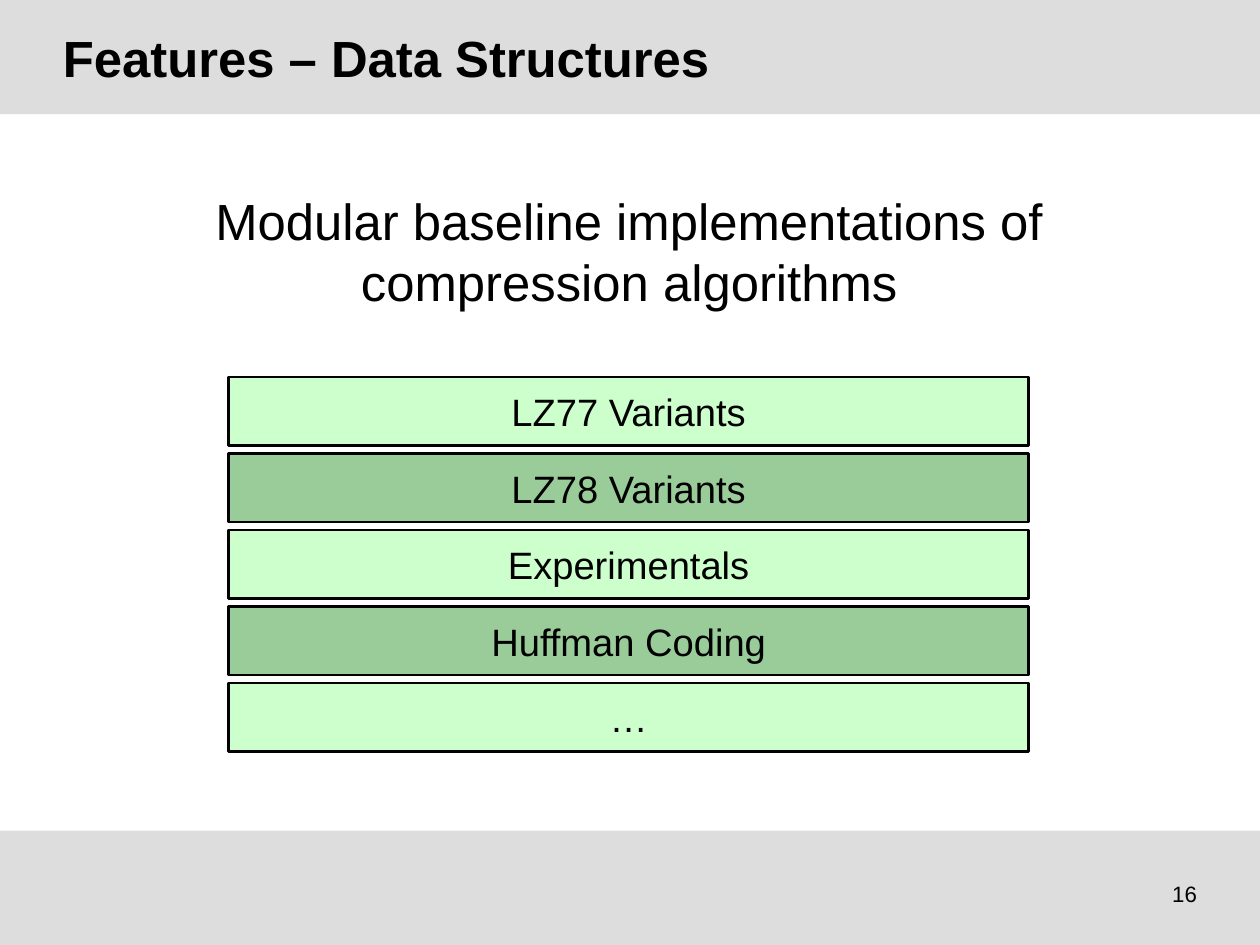
"""Builds a slide listing the compression algorithm families."""
import pptx
import pptx.util
import pptx.dml.color
import pptx.enum.shapes
import pptx.enum.text

Cm = pptx.util.Cm
Pt = pptx.util.Pt
ALIGN = pptx.enum.text.PP_ALIGN
ANCHOR = pptx.enum.text.MSO_ANCHOR

COLORS = {"band": "DDDDDD", "light": "CCFFCC", "dark": "99CC99", "ink": "000000"}
WIDTH, HEIGHT = 28, 21
BAND_HEIGHT = 2.54
MARGIN = 1.4
STACK_LEFT, STACK_TOP, STACK_WIDTH = 5.08, 8.38, 17.78
ROW_HEIGHT, ROW_STEP = 1.52, 1.7
ALGORITHMS = ["LZ77 Variants", "LZ78 Variants", "Experimentals", "Huffman Coding", "…"]


def color(name):
    return pptx.dml.color.RGBColor.from_string(COLORS[name])


def write(frame, lines, size, align, bold=False, anchor=ANCHOR.MIDDLE, inset=(0, 0), wrap=True):
    frame.word_wrap = wrap
    frame.vertical_anchor = anchor
    frame.margin_left = frame.margin_right = Cm(inset[0])
    frame.margin_top = frame.margin_bottom = Cm(inset[1])
    for index, line in enumerate(lines):
        paragraph = frame.add_paragraph() if index else frame.paragraphs[0]
        paragraph.alignment = align
        run = paragraph.add_run()
        run.text = line
        run.font.name = "Arial"
        run.font.size = Pt(size)
        run.font.bold = bold
        run.font.color.rgb = color("ink")


def add_label(slide, box, lines, size, align, **options):
    label = slide.shapes.add_textbox(*map(Cm, box))
    write(label.text_frame, lines, size, align, **options)


def add_block(slide, box, fill, outlined=False):
    block = slide.shapes.add_shape(
        pptx.enum.shapes.MSO_SHAPE.RECTANGLE, *map(Cm, box))
    block.shadow.inherit = False
    block.fill.solid()
    block.fill.fore_color.rgb = color(fill)
    if outlined:
        block.line.color.rgb = color("ink")
        block.line.width = Pt(1.5)
    else:
        block.line.fill.background()
    return block


def add_algorithm(slide, row, name):
    box = (STACK_LEFT, STACK_TOP + row * ROW_STEP, STACK_WIDTH, ROW_HEIGHT)
    block = add_block(slide, box, "dark" if row % 2 else "light", outlined=True)
    write(block.text_frame, [name], 24, ALIGN.CENTER, inset=(0.28, 0.15), wrap=False)


def main():
    deck = pptx.Presentation()
    deck.slide_width, deck.slide_height = Cm(WIDTH), Cm(HEIGHT)
    slide = deck.slides.add_slide(deck.slide_layouts[6])

    for band_top in (HEIGHT - BAND_HEIGHT, 0):
        add_block(slide, (0, band_top, WIDTH, BAND_HEIGHT), "band")
    add_label(slide, (MARGIN, 0.53, WIDTH - 2 * MARGIN, 1.5),
              ["Features – Data Structures"], 32, ALIGN.LEFT, bold=True)
    add_label(slide, (4.53, 4.08, 18.92, 2.79),
              ["Modular baseline implementations of", "compression algorithms"],
              32, ALIGN.CENTER, anchor=ANCHOR.TOP, inset=(0.25, 0.13), wrap=False)
    for row, name in enumerate(ALGORITHMS):
        add_algorithm(slide, row, name)
    add_label(slide, (20.07, 19.13, 6.53, 1.45), ["16"], 14, ALIGN.RIGHT)

    deck.save("out.pptx")


if __name__ == "__main__":
    main()
